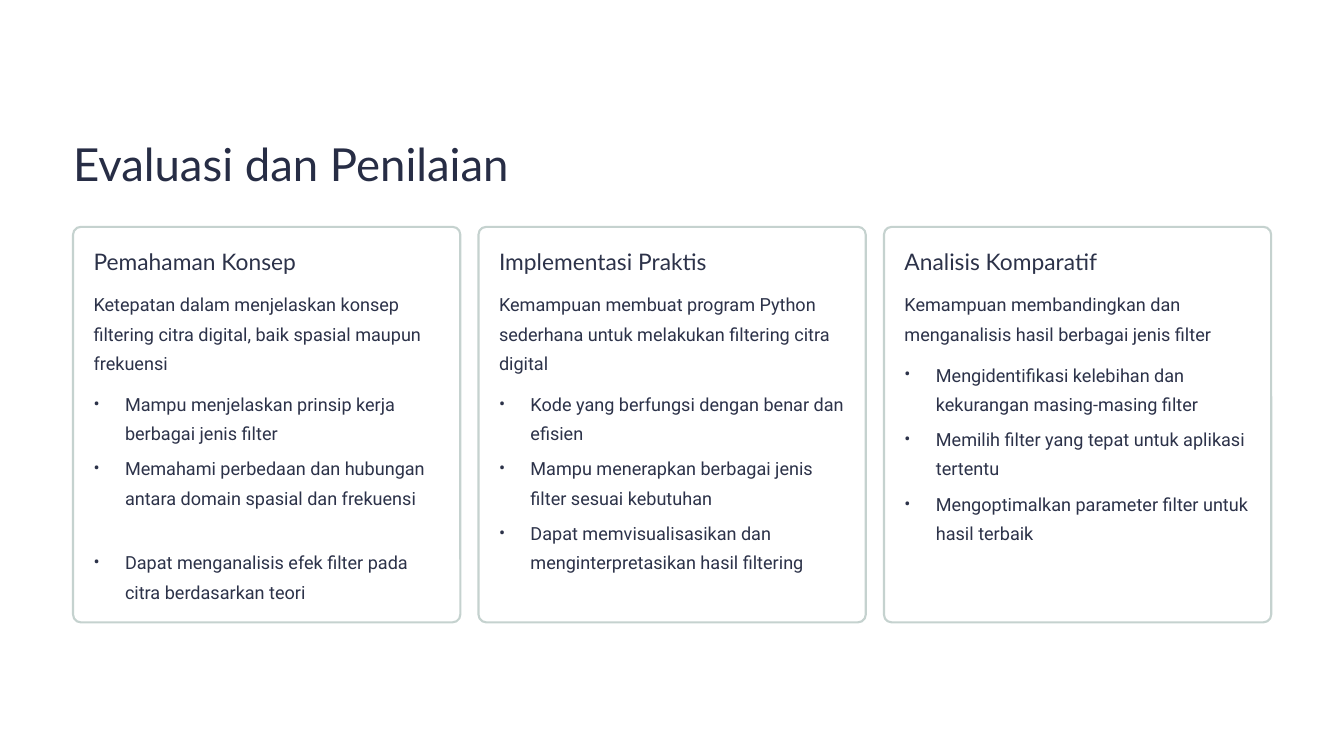
"""Build a slide with three assessment cards, each holding a summary and a list."""
import pptx
import pptx.util
import pptx.dml.color
import pptx.enum.shapes
import pptx.enum.text
import pptx.oxml.ns
import lxml.etree

Cm, Pt = pptx.util.Cm, pptx.util.Pt
RGBColor = pptx.dml.color.RGBColor
WHITE = RGBColor(0xFF, 0xFF, 0xFF)
NAVY = RGBColor(0x27, 0x2D, 0x45)
INK = RGBColor(0x2C, 0x32, 0x49)
SAGE = RGBColor(0xC5, 0xD2, 0xCF)

LEFT, STEP, PAD = 2.21, 12.26, 0.62
WIDTH, HEIGHT, TOP = 11.71, 11.96, 6.86
INNER, LINE, GAP = 10.49, 0.88, 5.5

CARDS = [
    ("Pemahaman Konsep", 3,
     "Ketepatan dalam menjelaskan konsep filtering citra digital, "
     "baik spasial maupun frekuensi",
     [("Mampu menjelaskan prinsip kerja berbagai jenis filter", 0),
      ("Memahami perbedaan dan hubungan antara domain spasial dan frekuensi", GAP),
      ("Dapat menganalisis efek filter pada citra berdasarkan teori", GAP + 25)]),
    ("Implementasi Praktis", 3,
     "Kemampuan membuat program Python sederhana untuk melakukan "
     "filtering citra digital",
     [("Kode yang berfungsi dengan benar dan efisien", 0),
      ("Mampu menerapkan berbagai jenis filter sesuai kebutuhan", GAP),
      ("Dapat memvisualisasikan dan menginterpretasikan hasil filtering", GAP)]),
    ("Analisis Komparatif", 2,
     "Kemampuan membandingkan dan menganalisis hasil berbagai jenis filter",
     [("Mengidentifikasi kelebihan dan kekurangan masing-masing filter", 0),
      ("Memilih filter yang tepat untuk aplikasi tertentu", GAP),
      ("Mengoptimalkan parameter filter untuk hasil terbaik", GAP)]),
]


def place(box, left, top, width, height):
    """Set the box bounds and clear its margins, and return its text frame."""
    box.left, box.top, box.width, box.height = Cm(left), Cm(top), Cm(width), Cm(height)
    frame = box.text_frame
    frame.margin_left = frame.margin_top = frame.margin_right = frame.margin_bottom = 0
    frame.word_wrap = True
    frame.auto_size = pptx.enum.text.MSO_AUTO_SIZE.NONE
    frame.vertical_anchor = pptx.enum.text.MSO_ANCHOR.TOP
    return frame


def write(para, text, font, size, color, lead, before=0):
    """Add one formatted run to the paragraph."""
    para.alignment = pptx.enum.text.PP_ALIGN.LEFT
    para.line_spacing = Pt(lead)
    para.space_before = Pt(before)
    run = para.add_run()
    run.text = text
    run.font.name, run.font.size, run.font.bold = font, Pt(size), False
    run.font.color.rgb = color


deck = pptx.Presentation()
deck.slide_width, deck.slide_height = Cm(40.64), Cm(22.86)
slide = deck.slides.add_slide(deck.slide_layouts.get_by_name("Comparison"))
slide.background.fill.solid()
slide.background.fill.fore_color.rgb = WHITE
shapes = slide.shapes

frame = place(shapes.title, LEFT, 4.04, 13.79, 1.73)
write(frame.paragraphs[0], "Evaluasi dan Penilaian", "Lato", 39, NAVY, 48.5)

bodies = [box for box in slide.placeholders if box.placeholder_format.idx in (1, 2, 3, 4)]
spare = bodies.pop()
shapes.element.remove(spare.element)

for col, (body, (head, rows, brief, items)) in enumerate(zip(bodies, CARDS)):
    left = LEFT + col * STEP
    card = shapes.add_shape(pptx.enum.shapes.MSO_SHAPE.ROUNDED_RECTANGLE,
                            Cm(left), Cm(TOP), Cm(WIDTH), Cm(HEIGHT))
    card.adjustments[0] = 0.02
    card.shadow.inherit = False
    card.fill.solid()
    card.fill.fore_color.rgb = WHITE
    card.line.color.rgb = SAGE
    card.line.width = Pt(1.8)

    left += PAD
    frame = place(shapes.add_textbox(0, 0, 0, 0), left, 7.47, 6.88, 0.86)
    write(frame.paragraphs[0], head, "Lato", 19.5, INK, 24)
    frame = place(shapes.add_textbox(0, 0, 0, 0), left, 8.66, INNER, rows * LINE)
    write(frame.paragraphs[0], brief, "Roboto", 15.5, INK, 25)

    shapes.element.append(body.element)
    space = sum(before for text, before in items) * 2.54 / 72
    frame = place(body, left, 9.02 + rows * LINE, INNER, 6 * LINE + space)
    for row, (text, before) in enumerate(items):
        para = frame.add_paragraph() if row else frame.paragraphs[0]
        props = para._p.get_or_add_pPr()
        props.set("marL", str(Cm(0.95)))
        props.set("indent", str(-Cm(0.95)))
        lxml.etree.SubElement(props, pptx.oxml.ns.qn("a:buFont")).set("typeface", "Roboto")
        lxml.etree.SubElement(props, pptx.oxml.ns.qn("a:buChar")).set("char", "•")
        write(para, text, "Roboto", 15.5, INK, 25, before)

deck.save("out.pptx")
